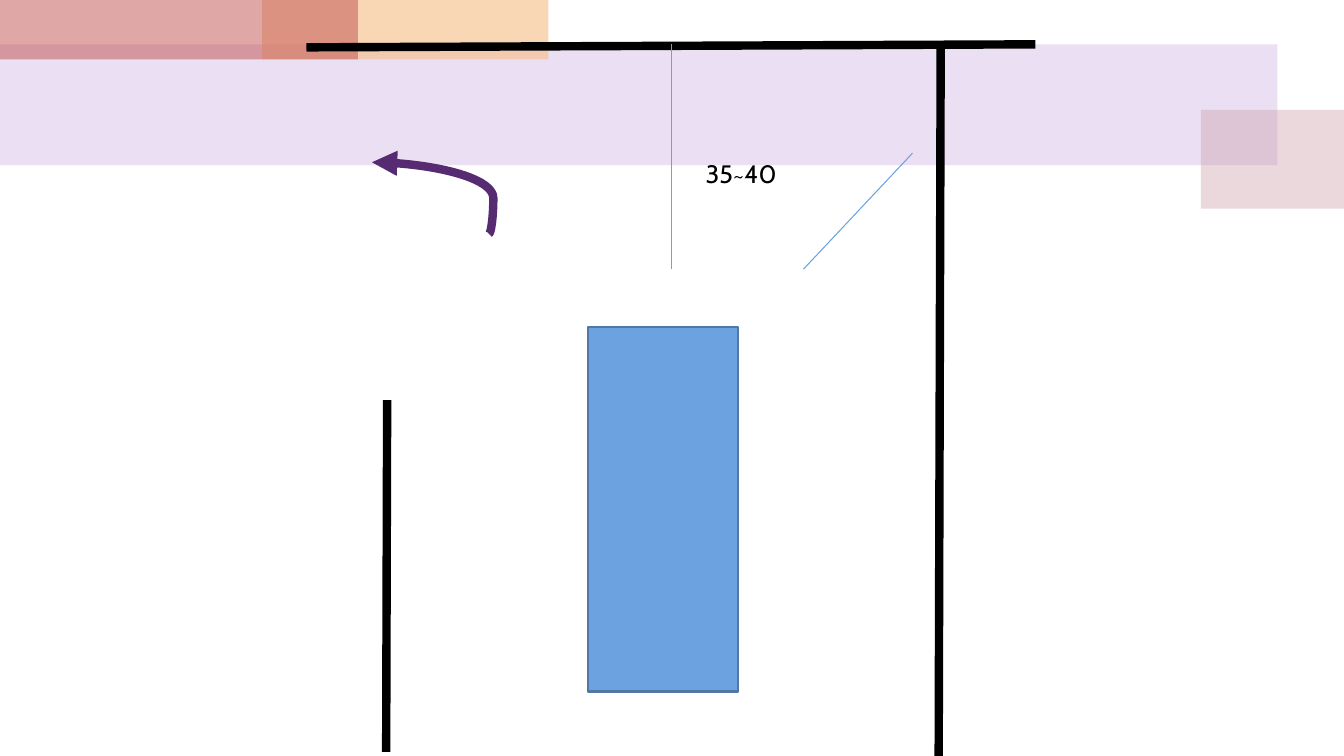
import pptx
import pptx.dml.color
import pptx.enum.shapes
import pptx.enum.text
import pptx.oxml
import pptx.oxml.ns
import pptx.util

Inches = pptx.util.Inches
Pt = pptx.util.Pt
CONNECTOR = pptx.enum.shapes.MSO_CONNECTOR
qn = pptx.oxml.ns.qn


def colour(value):
    return pptx.dml.color.RGBColor.from_string(value)


def add_element(parent, tag, **attributes):
    element = parent.makeelement(qn(tag), attributes)
    parent.append(element)
    return element


class DiagramSlide:
    font = "Cabin"
    black = "000000"
    blue = "6BA2DF"
    outline = "4F78A5"
    purple = "562B71"

    def __init__(self, presentation):
        self.slide = presentation.slides.add_slide(presentation.slide_layouts[6])

    def rectangle(self, left, top, width, height, fill, opacity=100, outline=None):
        shape = self.slide.shapes.add_shape(
            pptx.enum.shapes.MSO_SHAPE.RECTANGLE,
            Inches(left), Inches(top), Inches(width), Inches(height))
        shape.shadow.inherit = False
        shape.fill.solid()
        shape.fill.fore_color.rgb = colour(fill)
        if opacity < 100:
            fill_colour = shape.fill._xPr.find(qn("a:solidFill"))[0]
            add_element(fill_colour, "a:alpha", val=str(opacity * 1000))
        if outline:
            shape.line.color.rgb = colour(outline)
            shape.line.width = Pt(1.5)
        else:
            shape.line.fill.background()

    def line(self, start, end, line_colour, width, kind=CONNECTOR.STRAIGHT):
        connector = self.slide.shapes.add_connector(
            kind, *(Inches(value) for value in start + end))
        connector.line.color.rgb = colour(line_colour)
        connector.line.width = Pt(width)
        add_element(connector._element.spPr, "a:effectLst")
        return connector

    def curved_arrow(self, start, end, line_colour, width, bend):
        connector = self.line(start, end, line_colour, width, CONNECTOR.CURVE)
        properties = connector._element.spPr
        adjustments = properties.find(qn("a:prstGeom")).find(qn("a:avLst"))
        add_element(adjustments, "a:gd", name="adj1", fmla=f"val {bend}")
        add_element(properties.find(qn("a:ln")), "a:tailEnd", type="triangle")

    def label(self, left, top, width, height, text, size):
        shape = self.slide.shapes.add_textbox(
            Inches(left), Inches(top), Inches(width), Inches(height))
        text_frame = shape.text_frame
        text_frame.word_wrap = False
        text_frame.auto_size = pptx.enum.text.MSO_AUTO_SIZE.SHAPE_TO_FIT_TEXT
        text_frame.text = text
        font = text_frame.paragraphs[0].runs[0].font
        font.name = self.font
        font.size = Pt(size)
        font.color.rgb = colour(self.black)


def main():
    presentation = pptx.Presentation()
    presentation.slide_width = Inches(13.33)
    presentation.slide_height = Inches(7.5)
    diagram = DiagramSlide(presentation)

    bands = [
        (0, 0.44, 12.67, 1.2, "BF98D8", 30),
        (11.91, 1.09, 1.43, 0.98, "CC9EAC", 40),
        (2.6, 0, 2.84, 0.59, "F5BC83", 60),
        (0, 0, 3.55, 0.59, "C0504D", 50),
    ]
    for band in bands:
        diagram.rectangle(*band)

    diagram.rectangle(5.83, 3.24, 1.49, 3.62, diagram.blue, outline=diagram.outline)

    walls = [
        ((3.04, 0.47), (10.27, 0.44)),
        ((9.33, 0.44), (9.31, 7.5)),
        ((3.84, 3.97), (3.83, 7.46)),
    ]
    for start, end in walls:
        diagram.line(start, end, diagram.black, 6)

    distances = [((6.66, 0.44), (6.66, 2.67)), ((7.97, 2.67), (9.05, 1.52))]
    for start, end in distances:
        diagram.line(start, end, diagram.blue, 0.75)

    diagram.label(6.9, 1.52, 0.94, 0.4, "35~40", 18)
    diagram.curved_arrow((4.85, 2.32), (3.69, 1.61), diagram.purple, 6, -3800)
    presentation.save("out.pptx")


if __name__ == "__main__":
    main()
